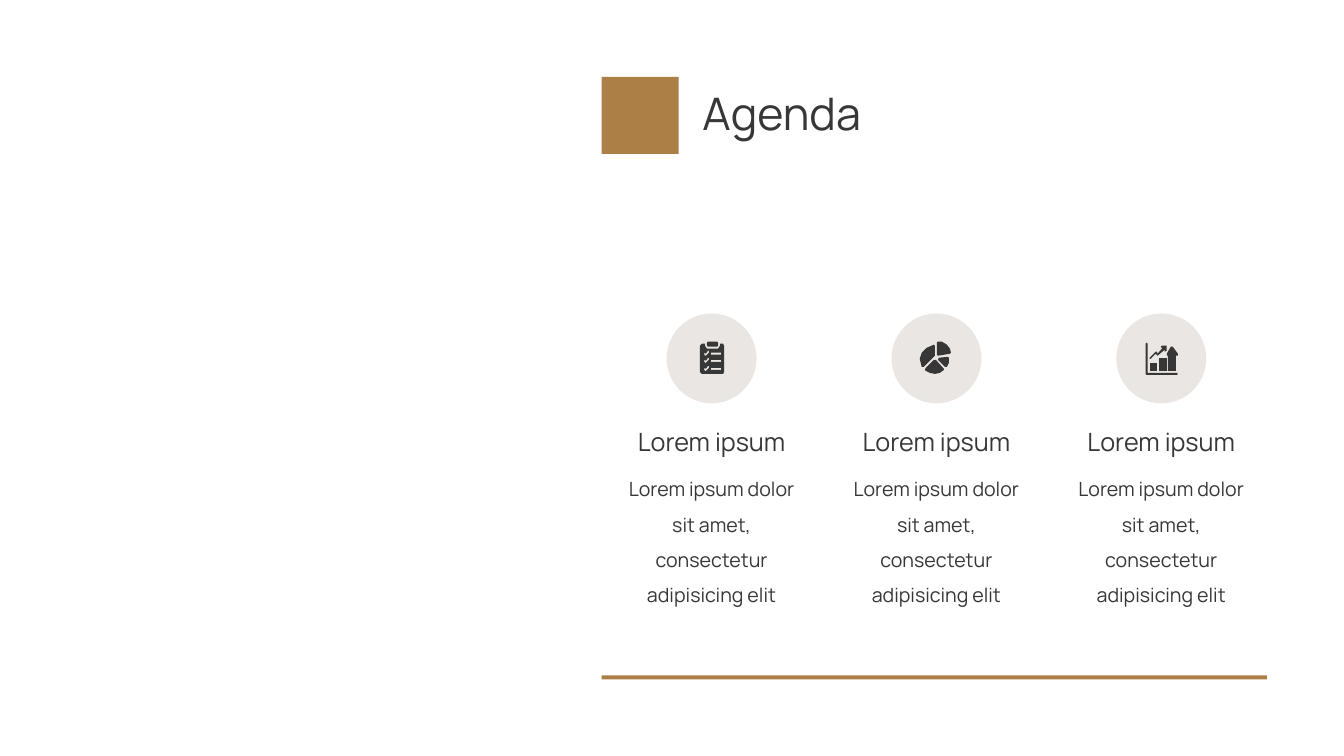
from pptx import Presentation
from pptx.dml.color import RGBColor
from pptx.enum.shapes import MSO_SHAPE as Shape
from pptx.enum.text import MSO_ANCHOR as Anchor, MSO_AUTO_SIZE as AutoSize, PP_ALIGN as Align
from pptx.util import Pt

FONT = "Manrope"
DARK, GOLD, PALE = "383737", "AC7F46", "EAE6E4"
ICON_UNIT = Pt(0.72)
COLUMN_LEFT, COLUMN_STEP, COLUMN_WIDTH = 432.7, 160.6, 151.2
CIRCLE_TOP, CIRCLE_SIZE = 223.9, 64.2


def box(left, top, right, bottom):
    return [(left, top), (right, top), (right, bottom), (left, bottom)]


def tick(top):
    return [(37, top + 3), (38, top + 2), (39, top + 3), (41, top),
            (42, top), (42, top + 2), (39, top + 5), (38, top + 5)]


CLIP = [(40, 29), (41, 28), (50, 28), (51, 29), (51, 32), (50, 33), (41, 33), (40, 32)]
BOARD = [(38, 30), (38, 32), (40, 35), (51, 35), (53, 32), (53, 30), (56, 30),
         (57, 32), (57, 58), (56, 60), (35, 60), (33, 58), (33, 32), (35, 30)]
ROWS = (37, 44, 52)
CHECKLIST = [
    [CLIP],
    [BOARD] + [tick(row) for row in ROWS] + [box(44, row + 2, 54, row + 4) for row in ROWS],
]
PIE = [
    [[(59, 39), (58, 35), (55, 31), (50, 28), (46, 28), (45, 29), (45, 41), (46, 42), (58, 40)]],
    [[(34, 54), (33, 56), (34, 57), (38, 59), (43, 60), (48, 59), (52, 56), (52, 55),
      (44, 46), (42, 46)]],
    [[(57, 44), (56, 43), (47, 44), (46, 46), (53, 53), (55, 53), (57, 49)]],
    [[(41, 44), (43, 42), (43, 32), (42, 31), (35, 34), (30, 39), (28, 45), (30, 53), (32, 53)]],
]
GROWTH = [
    [[(34, 45), (39, 40), (41, 42), (48, 36), (48, 38), (50, 37), (50, 32), (45, 32),
      (44, 34), (46, 34), (41, 40), (40, 38), (39, 38), (33, 44), (33, 45)]],
    [box(33, 49, 40, 57)],
    [box(42, 44, 50, 57)],
    [[(51, 42), (51, 57), (59, 57), (59, 42), (61, 42), (61, 40), (56, 33), (54, 33),
      (50, 40), (50, 42)]],
    [[(60, 59), (31, 59), (31, 30), (30, 29), (29, 30), (29, 60), (30, 61), (60, 61), (61, 60)]],
]
TOPICS = [
    (CHECKLIST, "Lorem ipsum", "Lorem ipsum dolor sit amet, consectetur adipisicing elit"),
    (PIE, "Lorem ipsum", "Lorem ipsum dolor sit amet, consectetur adipisicing elit"),
    (GROWTH, "Lorem ipsum", "Lorem ipsum dolor sit amet, consectetur adipisicing elit"),
]


def rgb(color):
    return RGBColor.from_string(color)


def paint(shape, color):
    shape.fill.solid()
    shape.fill.fore_color.rgb = rgb(color)
    shape.line.fill.background()
    shape.shadow.inherit = False


def add_block(slide, kind, left, top, width, height, color):
    block = slide.shapes.add_shape(kind, Pt(left), Pt(top), Pt(width), Pt(height))
    paint(block, color)


def add_icon(slide, icon, left, top):
    for outline, *cutouts in icon:
        builder = slide.shapes.build_freeform(*outline[0], scale=ICON_UNIT)
        builder.add_line_segments(outline[1:], close=True)
        for cutout in cutouts:
            builder.move_to(*cutout[0])
            builder.add_line_segments(cutout[1:], close=True)
        paint(builder.convert_to_shape(Pt(left), Pt(top)), DARK)


def write(frame, text, size, align, spacing):
    frame.text = text
    frame.word_wrap = True
    frame.vertical_anchor = Anchor.TOP
    paragraph = frame.paragraphs[0]
    paragraph.alignment = align
    paragraph.line_spacing = spacing
    font = paragraph.runs[0].font
    font.name, font.size = FONT, Pt(size)
    font.color.rgb = rgb(DARK)


def add_title(slide, text):
    title = slide.shapes.title
    title.left, title.top, title.width, title.height = Pt(494.6), Pt(61.9), Pt(409.7), Pt(46.1)
    write(title.text_frame, text, 32, Align.LEFT, 0.9)
    title.text_frame.auto_size = AutoSize.NONE


def add_text(slide, text, left, top, height, size, spacing):
    label = slide.shapes.add_textbox(Pt(left), Pt(top), Pt(COLUMN_WIDTH), Pt(height))
    write(label.text_frame, text, size, Align.CENTER, spacing)
    label.text_frame.auto_size = AutoSize.SHAPE_TO_FIT_TEXT


def add_topic(slide, column, icon, heading, detail):
    left = COLUMN_LEFT + column * COLUMN_STEP
    circle_left = left + (COLUMN_WIDTH - CIRCLE_SIZE) / 2
    add_text(slide, detail, left, 329, 80.6, 14, 1.5)
    add_text(slide, heading, left, 301, 28.8, 18, 1.0)
    add_block(slide, Shape.OVAL, circle_left, CIRCLE_TOP, CIRCLE_SIZE, CIRCLE_SIZE, PALE)
    add_icon(slide, icon, circle_left, CIRCLE_TOP)


def main():
    deck = Presentation()
    deck.slide_width, deck.slide_height = Pt(960), Pt(540)
    slide = deck.slides.add_slide(deck.slide_layouts[5])
    add_block(slide, Shape.RECTANGLE, 429.8, 54.9, 55, 55, GOLD)
    add_block(slide, Shape.RECTANGLE, 429.8, 482.4, 475.2, 2.9, GOLD)
    add_title(slide, "Agenda")
    for column, topic in enumerate(TOPICS):
        add_topic(slide, column, *topic)
    deck.save("out.pptx")


if __name__ == "__main__":
    main()
